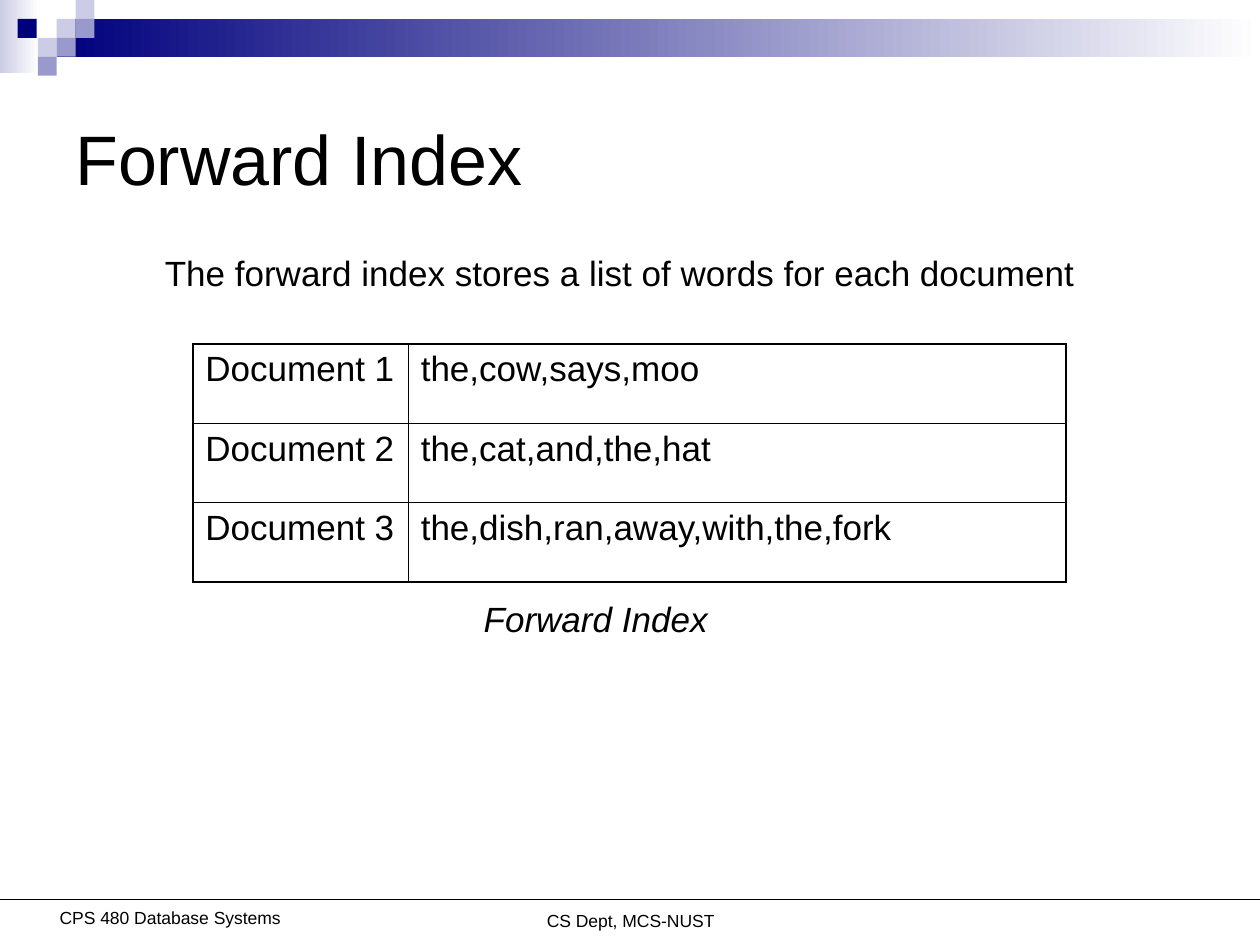
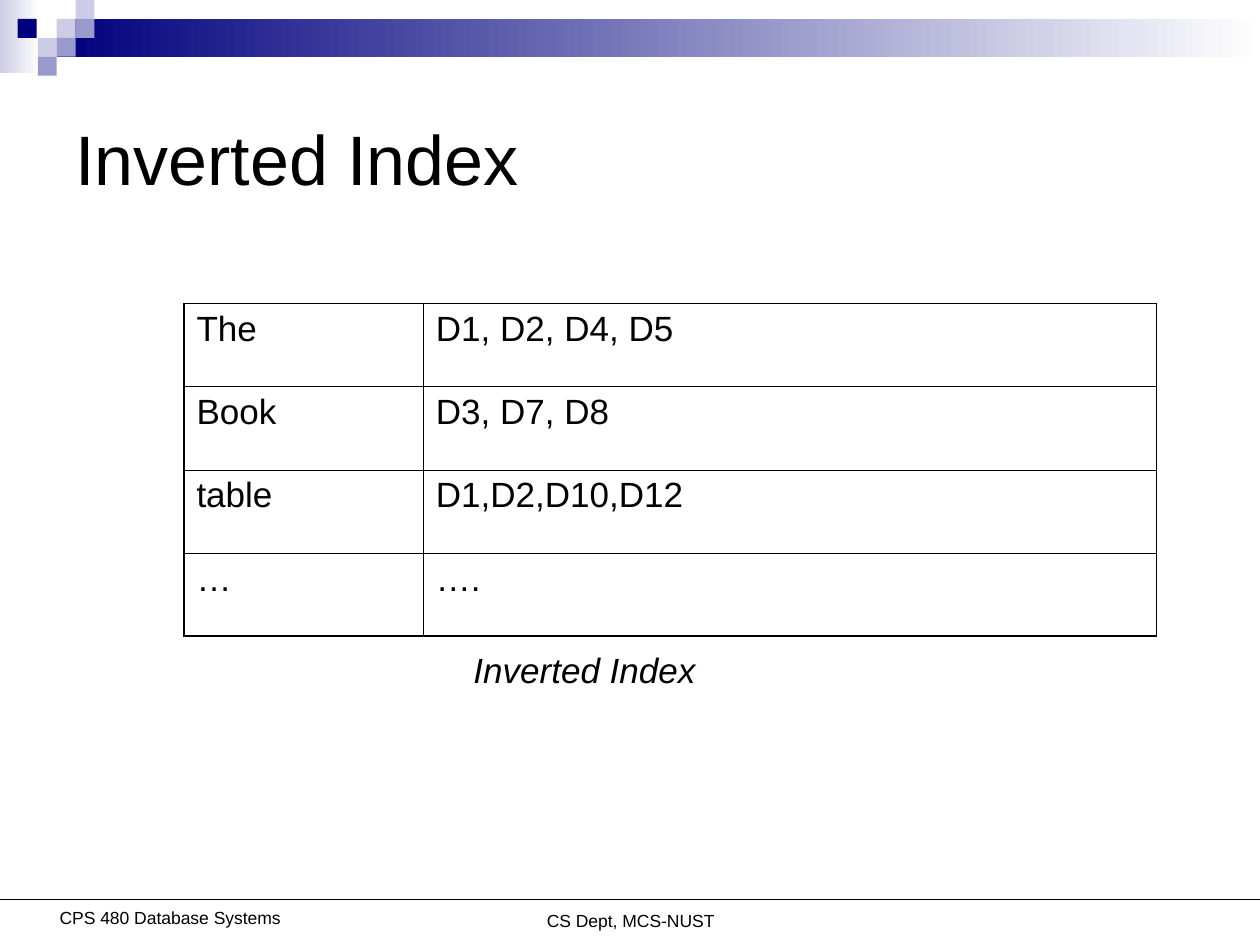
from lxml import etree
from pptx import Presentation, util as u
from pptx.dml.color import RGBColor
from pptx.enum import shapes, text
from pptx.oxml import ns

COLORS = {"navy": "00007D", "violet": "9999CC", "lavender": "CCCCE6",
          "white": "FFFFFF", "black": "000000"}
FONT = "Arial"
SQUARE = 0.15
# Squares of the corner motif: left, top, colour
SQUARES = [(0.45, 0.15, "lavender"), (0.6, 0, "lavender"), (0.6, 0.15, "violet"),
           (0.3, 0.3, "lavender"), (0.14, 0.15, "navy"), (0.45, 0.3, "violet"),
           (0.3, 0.45, "violet")]
OUTER_BORDER, INNER_BORDER = 1.08, 0.45


def rgb(name):
    return RGBColor.from_string(COLORS[name])


def style_paragraph(paragraph, size, italic=False):
    font = paragraph.font
    font.name, font.size, font.italic = FONT, u.Pt(size), italic
    font.color.rgb = rgb("black")


def add_text(slide, box, words, size, align=text.PP_ALIGN.LEFT,
             anchor=text.MSO_ANCHOR.MIDDLE, italic=False):
    frame = slide.shapes.add_textbox(*map(u.Inches, box)).text_frame
    frame.word_wrap = True
    frame.vertical_anchor = anchor
    paragraph = frame.paragraphs[0]
    paragraph.text = words
    paragraph.alignment = align
    style_paragraph(paragraph, size, italic)


def add_block(slide, box, color, fade_to=None):
    """Rectangle without outline, filled plainly or fading to the right."""
    shape = slide.shapes.add_shape(shapes.MSO_SHAPE.RECTANGLE, *map(u.Inches, box))
    shape.shadow.inherit = False
    shape.line.fill.background()
    if fade_to:
        shape.fill.gradient()
        shape.fill.gradient_angle = 0
        for stop, name in zip(shape.fill.gradient_stops, (color, fade_to)):
            stop.color.rgb = rgb(name)
    else:
        shape.fill.solid()
        shape.fill.fore_color.rgb = rgb(color)


def add_rule(slide, top):
    line = slide.shapes.add_connector(shapes.MSO_CONNECTOR.STRAIGHT, 0, u.Inches(top),
                                      u.Inches(10), u.Inches(top))
    line.line.color.rgb = rgb("black")
    line.line.width = u.Pt(0.75)
    etree.SubElement(line._element.spPr, ns.qn("a:effectLst"))


def set_border(cell, side, width):
    border = etree.SubElement(cell._tc.get_or_add_tcPr(), ns.qn(f"a:ln{side}"),
                              w=str(u.Pt(width)))
    fill = etree.SubElement(border, ns.qn("a:solidFill"))
    etree.SubElement(fill, ns.qn("a:srgbClr"), val=COLORS["black"])


def add_index_table(slide, left, top, column_widths, row_height, rows):
    last_row, last_column = len(rows) - 1, len(column_widths) - 1
    table = slide.shapes.add_table(
        len(rows), len(column_widths), u.Inches(left), u.Inches(top),
        u.Inches(sum(column_widths)), u.Inches(row_height * len(rows))).table
    table.first_row = table.horz_banding = False
    for column, width in zip(table.columns, column_widths):
        column.width = u.Inches(width)
    for i, row in enumerate(rows):
        table.rows[i].height = u.Inches(row_height)
        for j, words in enumerate(row):
            cell = table.cell(i, j)
            cell.text = words
            style_paragraph(cell.text_frame.paragraphs[0], 20)
            outer_sides = {"L": j == 0, "R": j == last_column,
                           "T": i == 0, "B": i == last_row}
            for side, is_outer in outer_sides.items():
                set_border(cell, side, OUTER_BORDER if is_outer else INNER_BORDER)
            cell.fill.background()


def add_index_slide(presentation, title):
    """Blank slide with the shared band, corner motif, footer and title."""
    slide = presentation.slides.add_slide(presentation.slide_layouts[6])
    # Band and corner motif
    add_block(slide, (0, 0, 0.31, 0.58), "lavender", fade_to="white")
    add_block(slide, (0.45, 0.15, 9.55, 0.3), "navy", fade_to="white")
    for left, top, color in SQUARES:
        add_block(slide, (left, top, SQUARE, SQUARE), color)
    # Footer
    for box, words in (((2.92, 7.17, 4.17, 0.25), "CS Dept, MCS-NUST"),
                       ((0.35, 7.15, 2, 0.25), "CPS 480 Database Systems")):
        add_text(slide, box, words, 10, text.PP_ALIGN.CENTER, text.MSO_ANCHOR.TOP)
    add_rule(slide, 7.14)
    # Title
    add_text(slide, (0.5, 0.5, 9, 1.5), title, 40)
    return slide


def main():
    presentation = Presentation()
    presentation.slide_width, presentation.slide_height = u.Inches(10), u.Inches(7.5)

    # Forward index: document to words
    slide = add_index_slide(presentation, "Forward Index")
    add_text(slide, (1.21, 1.94, 7.5, 0.44),
             "The forward index stores a list of words for each document", 20)
    add_index_table(slide, 1.53, 2.73, (1.71, 5.22), 0.63, [
        ("Document 1", "the,cow,says,moo"),
        ("Document 2", "the,cat,and,the,hat"),
        ("Document 3", "the,dish,ran,away,with,the,fork")])
    add_text(slide, (3.74, 4.69, 2.05, 0.44), "Forward Index", 20, italic=True)

    # Inverted index: word to documents
    slide = add_index_slide(presentation, "Inverted Index")
    add_index_table(slide, 1.46, 2.41, (1.9, 5.82), 0.66, [
        ("The", "D1, D2, D4, D5"),
        ("Book", "D3, D7, D8"),
        ("table", "D1,D2,D10,D12"),
        ("…", "….")])
    add_text(slide, (3.66, 5.09, 2.04, 0.44), "Inverted Index", 20, italic=True)

    presentation.save("out.pptx")


if __name__ == "__main__":
    main()
